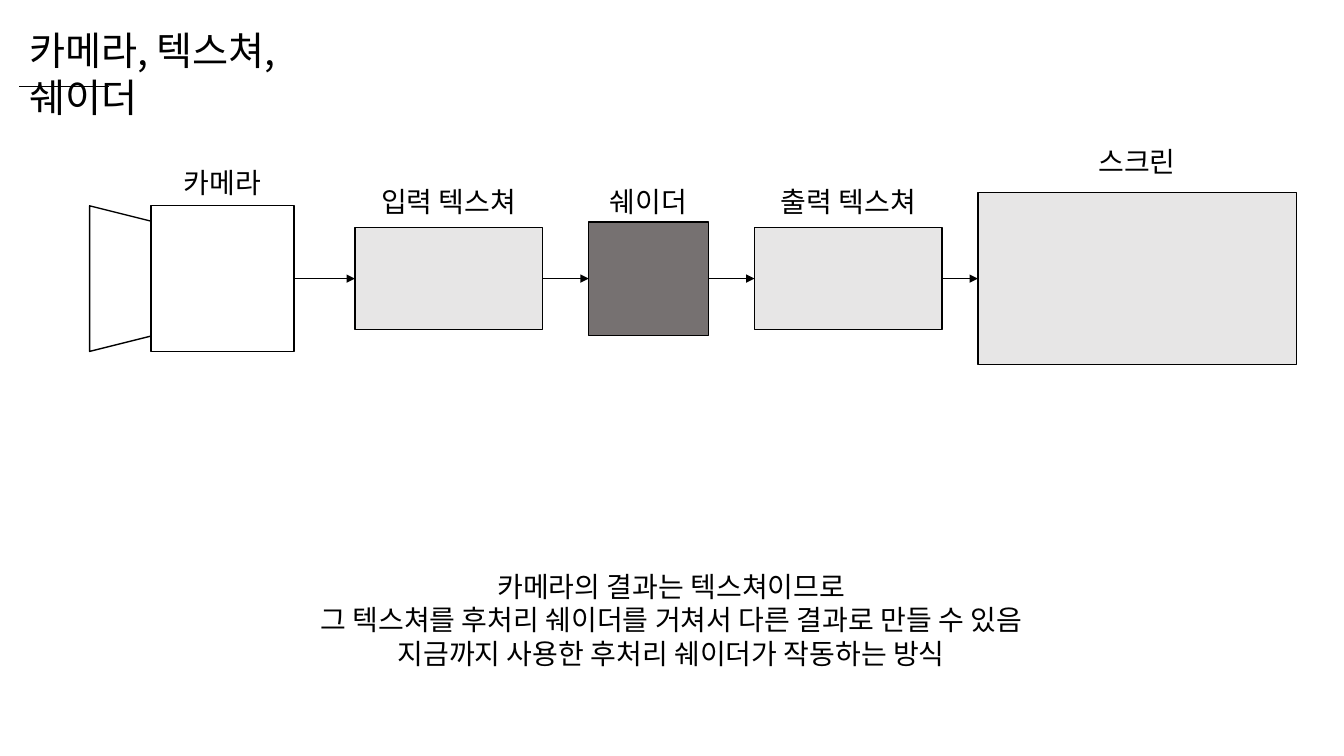
import dataclasses

import lxml.etree
import pptx
import pptx.dml.color
import pptx.enum.shapes
import pptx.enum.text
import pptx.oxml.ns
import pptx.util

Pt = pptx.util.Pt
Shape = pptx.enum.shapes.MSO_SHAPE
Align = pptx.enum.text.PP_ALIGN
qn = pptx.oxml.ns.qn


@dataclasses.dataclass(frozen=True)
class Theme:
    font: str = "Noto Sans CJK KR"
    ink: str = "000000"
    white: str = "FFFFFF"
    texture: str = "E7E6E6"
    shader: str = "767171"
    title_size: float = 28
    body_size: float = 20
    outline: float = 1
    rule: float = 0.5


class Canvas:
    def __init__(self, slide, theme):
        self.slide = slide
        self.theme = theme

    def color(self, value):
        return pptx.dml.color.RGBColor.from_string(value)

    def text(self, left, top, width, height, lines, size, align, wrap=False):
        box = self.slide.shapes.add_textbox(Pt(left), Pt(top), Pt(width), Pt(height))
        frame = box.text_frame
        frame.word_wrap = wrap
        frame.auto_size = pptx.enum.text.MSO_AUTO_SIZE.SHAPE_TO_FIT_TEXT
        frame.text = "\n".join(lines)
        for paragraph in frame.paragraphs:
            paragraph.alignment = align
            paragraph.font.size = Pt(size)
            paragraph.font.name = self.theme.font
            paragraph.font.color.rgb = self.color(self.theme.ink)
            latin = paragraph._p.pPr.find(qn("a:defRPr")).find(qn("a:latin"))
            east_asian = lxml.etree.Element(qn("a:ea"), typeface=self.theme.font)
            latin.addnext(east_asian)

    def shape(self, kind, left, top, width, height, fill, parent=None, rotation=0):
        shapes = (parent or self.slide).shapes
        shape = shapes.add_shape(kind, Pt(left), Pt(top), Pt(width), Pt(height))
        shape.rotation = rotation
        shape.shadow.inherit = False
        shape.fill.solid()
        shape.fill.fore_color.rgb = self.color(fill)
        shape.line.color.rgb = self.color(self.theme.ink)
        shape.line.width = Pt(self.theme.outline)
        return shape

    def line(self, left, top, right, bottom):
        connector = self.slide.shapes.add_connector(
            pptx.enum.shapes.MSO_CONNECTOR.STRAIGHT, Pt(left), Pt(top), Pt(right), Pt(bottom))
        connector.line.color.rgb = self.color(self.theme.ink)
        connector.line.width = Pt(self.theme.rule)
        lxml.etree.SubElement(connector._element.spPr, qn("a:effectLst"))
        return connector

    def arrow(self, source, target):
        connector = self.line(0, 0, 0, 0)
        connector.begin_connect(source, 3)
        connector.end_connect(target, 1)
        outline = connector._element.spPr.find(qn("a:ln"))
        lxml.etree.SubElement(outline, qn("a:tailEnd"), type="triangle")


def main():
    theme = Theme()
    presentation = pptx.Presentation()
    presentation.slide_width = Pt(960)
    presentation.slide_height = Pt(540)
    slide = presentation.slides.add_slide(presentation.slide_layouts[6])
    canvas = Canvas(slide, theme)

    canvas.text(13.7, 15.1, 262, 41, ["카메라, 텍스쳐, 쉐이더"],
                theme.title_size, Align.LEFT, wrap=True)
    canvas.line(13.7, 61.5, 77.8, 61.5)
    canvas.text(210, 403, 539, 80, [
        "카메라의 결과는 텍스쳐이므로",
        "그 텍스쳐를 후처리 쉐이더를 거쳐서 다른 결과로 만들 수 있음",
        "지금까지 사용한 후처리 쉐이더가 작동하는 방식",
    ], theme.body_size, Align.CENTER)

    axis = 199
    camera = slide.shapes.add_group_shape()
    lens_width, lens_height = 104, 44
    lens_center = 108 - lens_height / 2
    canvas.shape(Shape.TRAPEZOID, lens_center - lens_width / 2, axis - lens_height / 2,
                 lens_width, lens_height, theme.white, camera, 90)

    stages = [
        ("카메라", 108, 102, 104.5, theme.white, 115, camera),
        ("입력 텍스쳐", 253.5, 134, 73, theme.texture, 128, None),
        ("쉐이더", 420.5, 85.5, 81, theme.shader, 128, None),
        ("출력 텍스쳐", 539, 134, 73, theme.texture, 128, None),
        ("스크린", 698.5, 227.5, 123, theme.texture, 99.5, None),
    ]
    boxes = []
    label_width = 115
    for label, left, width, height, fill, label_top, parent in stages:
        boxes.append(canvas.shape(Shape.RECTANGLE, left, axis - height / 2,
                                  width, height, fill, parent))
        canvas.text(left + (width - label_width) / 2, label_top, label_width, 31.5,
                    [label], theme.body_size, Align.CENTER)
    for source, target in zip(boxes, boxes[1:]):
        canvas.arrow(source, target)

    presentation.save("out.pptx")


if __name__ == "__main__":
    main()
